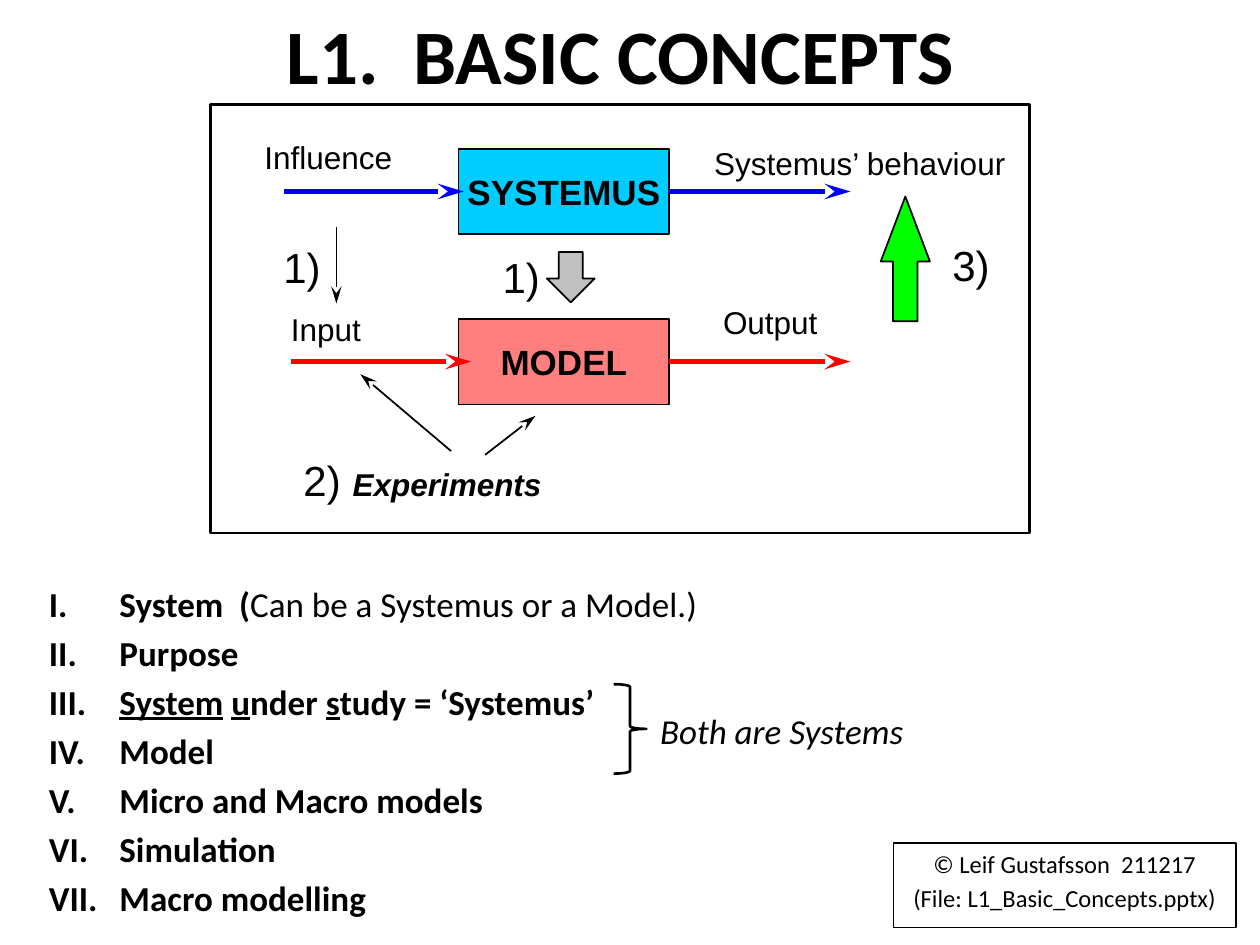
from lxml import etree
from pptx import Presentation
from pptx import util as u
from pptx.dml.color import RGBColor
from pptx.enum import shapes, text
from pptx.oxml.ns import qn

THEME = {
    "head": "Calibri", "label": "Arial",
    "black": "000000", "white": "FFFFFF", "blue": "0000FF", "red": "FF0000",
    "cyan": "00CCFF", "green": "00FF00", "grey": "C0C0C0",
    "title": 44, "step": 24, "body": 20, "small": 18, "note": 14,
}
KIND = shapes.MSO_SHAPE
MID, TOP = text.MSO_ANCHOR.MIDDLE, text.MSO_ANCHOR.TOP
CENTER = text.PP_ALIGN.CENTER

# Content: places are left, top, width, height in inches
TITLE = "L1.  BASIC CONCEPTS"
FRAME = (1.67, 0.83, 6.5, 3.4)
# name, top, fill, alpha, arrow colour, start and end of the arrow in
BOXES = [
    ("SYSTEMUS", 1.18, "cyan", 100, "blue", 2.25, 3.68),
    ("MODEL", 2.53, "red", 50, "red", 2.31, 3.74),
]
BOX_X, BOX_W, BOX_H, OUT_X = 3.64, 1.67, 0.68, 6.75
LABELS = [
    ("Influence", 2, 1.05, 1.34),
    ("Systemus’ behaviour", 5.57, 1.09, 3.01),
    ("Input", 2.21, 2.41, 0.87),
    ("Output", 5.64, 2.36, 1.14),
]
STEPS = [("1)", 2.15, 1.87), ("1)", 3.89, 1.95), ("2)", 2.31, 3.56), ("3)", 7.46, 1.85)]
THIN = [(2.67, 1.8, 2.67, 2.41), (3.58, 3.58, 2.86, 2.97), (3.85, 3.61, 4.25, 3.3)]
BLOCKS = [
    (KIND.UP_ARROW, (6.99, 1.56, 0.39, 0.99), "green", 1.32),
    (KIND.DOWN_ARROW, (4.34, 2, 0.38, 0.4), "grey", 0.5),
]
# Each topic is a list of runs: text, style letters (b bold, u underline)
TOPICS = [
    [("System  (", "b"), ("Can be a Systemus or a Model.)", "")],
    [("Purpose", "b")],
    [("System", "bu"), (" ", "b"), ("u", "bu"), ("nder ", "b"), ("s", "bu"),
     ("tudy = ‘Systemus’", "b")],
    [("Model", "b")],
    [("Micro and Macro models", "b")],
    [("Simulation", "b")],
    [("Macro modelling", "b")],
]
CREDIT = ["© Leif Gustafsson  211217", "(File: L1_Basic_Concepts.pptx)"]


def color(name):
    return RGBColor.from_string(THEME[name])


def write(shape, paras, size, face="head", italic=False, align=None, anchor=TOP, pad=0.1):
    """Fill a shape with paragraphs, each a list of (text, style) runs."""
    frame = shape.text_frame
    frame.word_wrap, frame.vertical_anchor = True, anchor
    frame.margin_left = frame.margin_right = u.Inches(pad)
    for i, runs in enumerate(paras):
        para = frame.add_paragraph() if i else frame.paragraphs[0]
        para.alignment = align
        if i:
            para.space_before = u.Pt(THEME[size] * 0.2)
        for words, style in runs:
            run = para.add_run()
            run.text = words
            font = run.font
            font.name, font.size = THEME[face], u.Pt(THEME[size])
            font.bold, font.underline, font.italic = "b" in style, "u" in style, italic
            font.color.rgb = color("black")
    return frame


def label(slide, place, words, size, face="label", style="", **opts):
    box = slide.shapes.add_textbox(*map(u.Inches, place))
    write(box, [[(words, style)]], size, face, **opts)


def shape(slide, kind, place, fill=None, width=1):
    item = slide.shapes.add_shape(kind, *map(u.Inches, place))
    item.shadow.inherit = False
    if fill:
        item.fill.solid()
        item.fill.fore_color.rgb = color(fill)
    else:
        item.fill.background()
    item.line.color.rgb = color("black")
    item.line.width = u.Pt(width)
    return item


def arrow(slide, ends, tint="black", width=1):
    line = slide.shapes.add_connector(shapes.MSO_CONNECTOR.STRAIGHT, *map(u.Inches, ends))
    line.line.color.rgb = color(tint)
    line.line.width = u.Pt(width)
    etree.SubElement(line.line._get_or_add_ln(), qn("a:tailEnd"),
                     type="stealth", w="med", len="lg")
    etree.SubElement(line._element.spPr, qn("a:effectLst"))
    return line


def diagram(slide):
    shape(slide, KIND.RECTANGLE, FRAME, "white", 1.5)
    # Boxes with an arrow in and an arrow out
    for name, top, fill, alpha, tint, start, end in BOXES:
        box = shape(slide, KIND.RECTANGLE, (BOX_X, top, BOX_W, BOX_H), fill)
        if alpha < 100:
            rgb = box._element.spPr.find(qn("a:solidFill"))[0]
            etree.SubElement(rgb, qn("a:alpha"), val=str(alpha * 1000))
        write(box, [[(name, "b")]], "body", "label", align=CENTER, anchor=MID, pad=0)
        mid = top + BOX_H / 2
        arrow(slide, (start, mid, end, mid), tint, 3)
        out = arrow(slide, (BOX_X + BOX_W, mid, OUT_X, mid), tint, 3)
        out.begin_connect(box, 3)
    # Block arrows and thin arrows
    for kind, place, fill, head in BLOCKS:
        block = shape(slide, kind, place, fill)
        block.adjustments[1] = head
    for ends in THIN:
        arrow(slide, ends)
    # Labels and step numbers
    for words, left, top, width in LABELS:
        label(slide, (left, top, width, 0.4), words, "small")
    for words, left, top in STEPS:
        label(slide, (left, top, 0.55, 0.46), words, "step")
    label(slide, (2.7, 3.64, 2.87, 0.4), "Experiments", "small", style="b", italic=True)


def topics(slide):
    # Numbered list
    box = slide.shapes.add_textbox(*map(u.Inches, (0.29, 4.57, 7.5, 2.9)))
    frame = write(box, TOPICS, "body")
    for para in frame.paragraphs:
        props = para._p.get_or_add_pPr()
        props.set("marL", str(u.Inches(0.56)))
        props.set("indent", str(-u.Inches(0.56)))
        etree.SubElement(props, qn("a:buFont"), typeface="+mj-lt")
        etree.SubElement(props, qn("a:buAutoNum"), type="romanUcPeriod")
    # Brace and its remark
    shape(slide, KIND.RIGHT_BRACE, (4.87, 5.43, 0.26, 0.71), width=1.5)
    label(slide, (5.14, 5.58, 2.49, 0.44), "Both are Systems", "body", "head", italic=True)


def main():
    deck = Presentation()
    deck.slide_width, deck.slide_height = u.Inches(10), u.Inches(7.5)
    slide = deck.slides.add_slide(deck.slide_layouts[6])
    label(slide, (0.18, 0, 9.49, 0.85), TITLE, "title", "head", "b",
          align=CENTER, anchor=MID)
    diagram(slide)
    topics(slide)
    # Credit box
    box = shape(slide, KIND.RECTANGLE, (7.09, 6.69, 2.72, 0.67), width=0.75)
    write(box, [[(line, "")] for line in CREDIT], "note", align=CENTER)
    deck.save("out.pptx")


if __name__ == "__main__":
    main()
